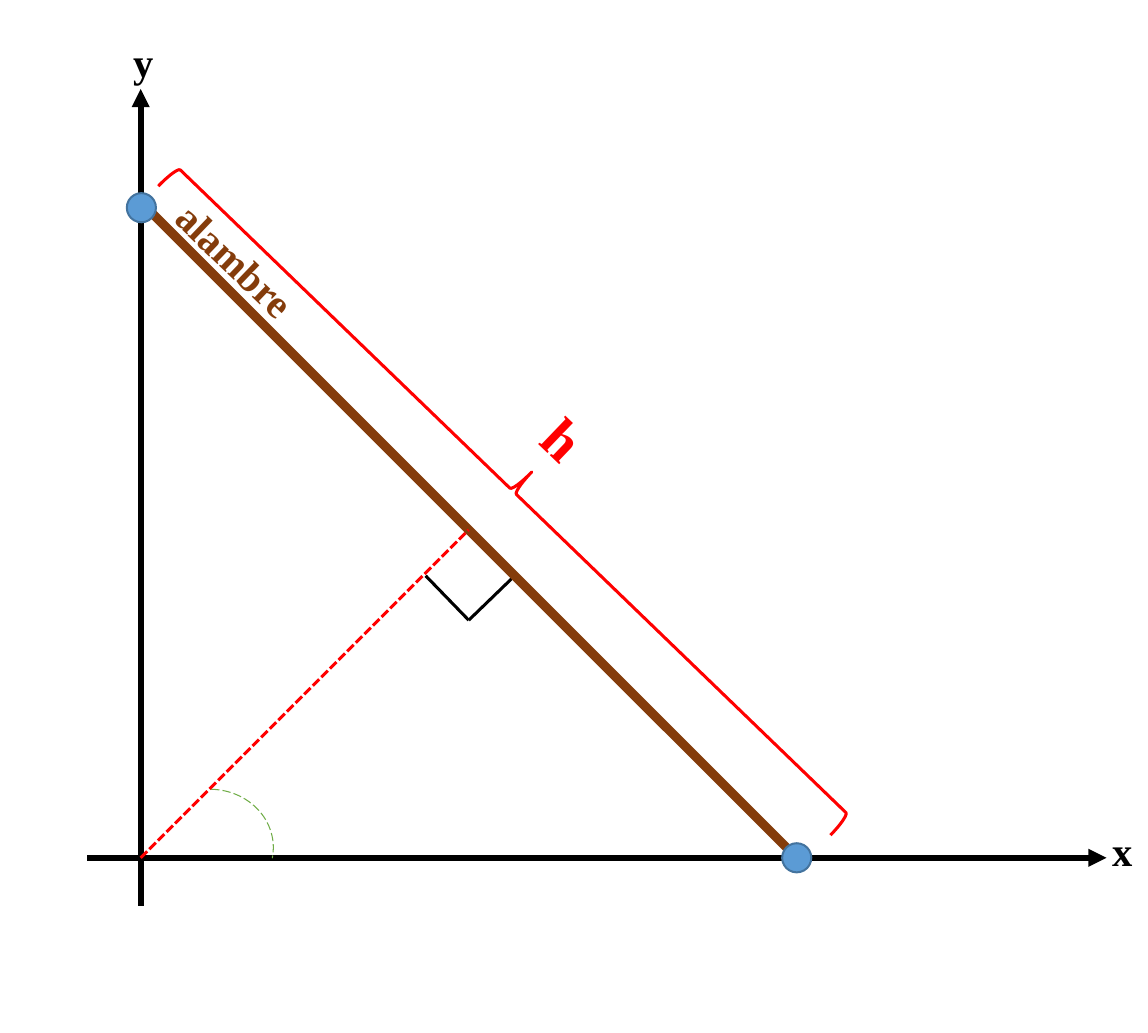
from dataclasses import dataclass
from typing import Optional

from lxml import etree
from pptx import Presentation
from pptx import util as u
from pptx.dml.color import RGBColor
from pptx.enum import dml, shapes, text
from pptx.oxml import ns

SLIDE_WIDTH, SLIDE_HEIGHT = u.Cm(20), u.Cm(18)

# Grid: one cell is a tenth of an inch
CELL = u.Inches(0.1)

BLACK = RGBColor(0x00, 0x00, 0x00)
RED = RGBColor(0xFF, 0x00, 0x00)
BROWN = RGBColor(0x84, 0x3C, 0x0B)
BLUE = RGBColor(0x5B, 0x9B, 0xD5)
DARK_BLUE = RGBColor(0x43, 0x73, 0x9E)
GREEN = RGBColor(0x70, 0xAD, 0x47)

FONT = "Times New Roman"

# Geometry of the figure
ORIGIN_X, ORIGIN_Y = 9.65, 58.85
WIRE_REACH = 45
BEAD = 2
TILT = 43.8
FOOT = (ORIGIN_X + WIRE_REACH / 2, ORIGIN_Y - WIRE_REACH / 2)
WIRE_TOP = (ORIGIN_X, ORIGIN_Y - WIRE_REACH)
WIRE_END = (ORIGIN_X + WIRE_REACH, ORIGIN_Y)
MARK_CORNER = (FOOT[0], 42.55)

Point = tuple[float, float]


@dataclass
class Segment:
    start: Point
    end: Point
    color: RGBColor
    width: float
    dash: Optional[dml.MSO_LINE] = None
    arrow: bool = False


@dataclass
class Outline:
    kind: shapes.MSO_SHAPE
    center: Point
    size: Point
    color: RGBColor
    width: float
    fill: Optional[RGBColor] = None
    dash: Optional[dml.MSO_LINE] = None
    rotation: float = 0
    adjustments: tuple[float, ...] = ()


SEGMENTS = [
    # Axes
    Segment((ORIGIN_X, 62.15), (ORIGIN_X, 6.1), BLACK, 3, arrow=True),
    Segment((6, ORIGIN_Y), (75.9, ORIGIN_Y), BLACK, 3, arrow=True),
    # Right-angle mark
    Segment(MARK_CORNER, (35.3, 39.5), BLACK, 1.5),
    Segment((29.2, 39.5), MARK_CORNER, BLACK, 1.5),
    # Wire and its perpendicular from the origin
    Segment(WIRE_TOP, WIRE_END, BROWN, 4.5),
    Segment((ORIGIN_X, ORIGIN_Y), FOOT, RED, 1.5, dash=dml.MSO_LINE.SQUARE_DOT),
]

OUTLINES = [
    # Beads on the axes, the upper one slightly below the tip of the wire
    *(Outline(shapes.MSO_SHAPE.OVAL, center, (BEAD, BEAD), DARK_BLUE, 1, fill=BLUE)
      for center in ((9.7, 14.25), WIRE_END)),
    # Angle between the x axis and the perpendicular
    Outline(shapes.MSO_SHAPE.ARC, (14.4, 58.15), (8.7, 8), GREEN, 0.5,
            dash=dml.MSO_LINE.LONG_DASH, adjustments=(162.78, 5.79)),
    # Brace spanning the wire
    Outline(shapes.MSO_SHAPE.RIGHT_BRACE, (35.2, 33.7), (3.7, 64.1), RED, 1.5,
            rotation=314),
]


def style_line(line, color: RGBColor, width: float, dash: Optional[dml.MSO_LINE]) -> None:
    line.color.rgb = color
    line.width = u.Pt(width)
    if dash is not None:
        line.dash_style = dash


def cells(*values: float) -> list[int]:
    return [round(value * CELL) for value in values]


def box(center: Point, size: Point) -> list[int]:
    return cells(center[0] - size[0] / 2, center[1] - size[1] / 2, *size)


def draw_segment(slide, segment: Segment) -> None:
    connector = slide.shapes.add_connector(
        shapes.MSO_CONNECTOR.STRAIGHT, *cells(*segment.start, *segment.end))
    style_line(connector.line, segment.color, segment.width, segment.dash)
    properties = connector._element.spPr
    if segment.arrow:
        line = properties.find(ns.qn("a:ln"))
        etree.SubElement(line, ns.qn("a:tailEnd"), type="triangle")
    etree.SubElement(properties, ns.qn("a:effectLst"))


def draw_outline(slide, outline: Outline) -> None:
    shape = slide.shapes.add_shape(outline.kind, *box(outline.center, outline.size))
    shape.shadow.inherit = False
    shape.rotation = outline.rotation
    for index, value in enumerate(outline.adjustments):
        shape.adjustments[index] = value
    if outline.fill is None:
        shape.fill.background()
    else:
        shape.fill.solid()
        shape.fill.fore_color.rgb = outline.fill
    style_line(shape.line, outline.color, outline.width, outline.dash)


def add_label(slide, wording: str, *, center: Point, size: Point, color: RGBColor = BLACK,
              points: float = 20, rotation: float = 0) -> None:
    label = slide.shapes.add_textbox(*box(center, size))
    label.rotation = rotation
    frame = label.text_frame
    frame.word_wrap = False
    frame.auto_size = text.MSO_AUTO_SIZE.SHAPE_TO_FIT_TEXT
    paragraph = frame.paragraphs[0]
    paragraph.text = wording
    font = paragraph.runs[0].font
    font.name, font.size, font.bold = FONT, u.Pt(points), True
    font.color.rgb = color


def main() -> None:
    presentation = Presentation()
    presentation.slide_width, presentation.slide_height = SLIDE_WIDTH, SLIDE_HEIGHT
    slide = presentation.slides.add_slide(presentation.slide_layouts[6])

    for segment in SEGMENTS:
        draw_segment(slide, segment)
    for outline in OUTLINES:
        draw_outline(slide, outline)

    # Labels
    add_label(slide, "h", center=(38.7, 30.1), size=(4.2, 5.7), color=RED,
              points=28, rotation=TILT)
    add_label(slide, "alambre", center=(16.2, 17.85), size=(11.9, 4.4), color=BROWN,
              rotation=TILT)
    add_label(slide, "y", center=(9.85, 4.25), size=(3.4, 4.4))
    add_label(slide, "x", center=(77, 58.35), size=(3.4, 4.4))

    presentation.save("out.pptx")


if __name__ == "__main__":
    main()
